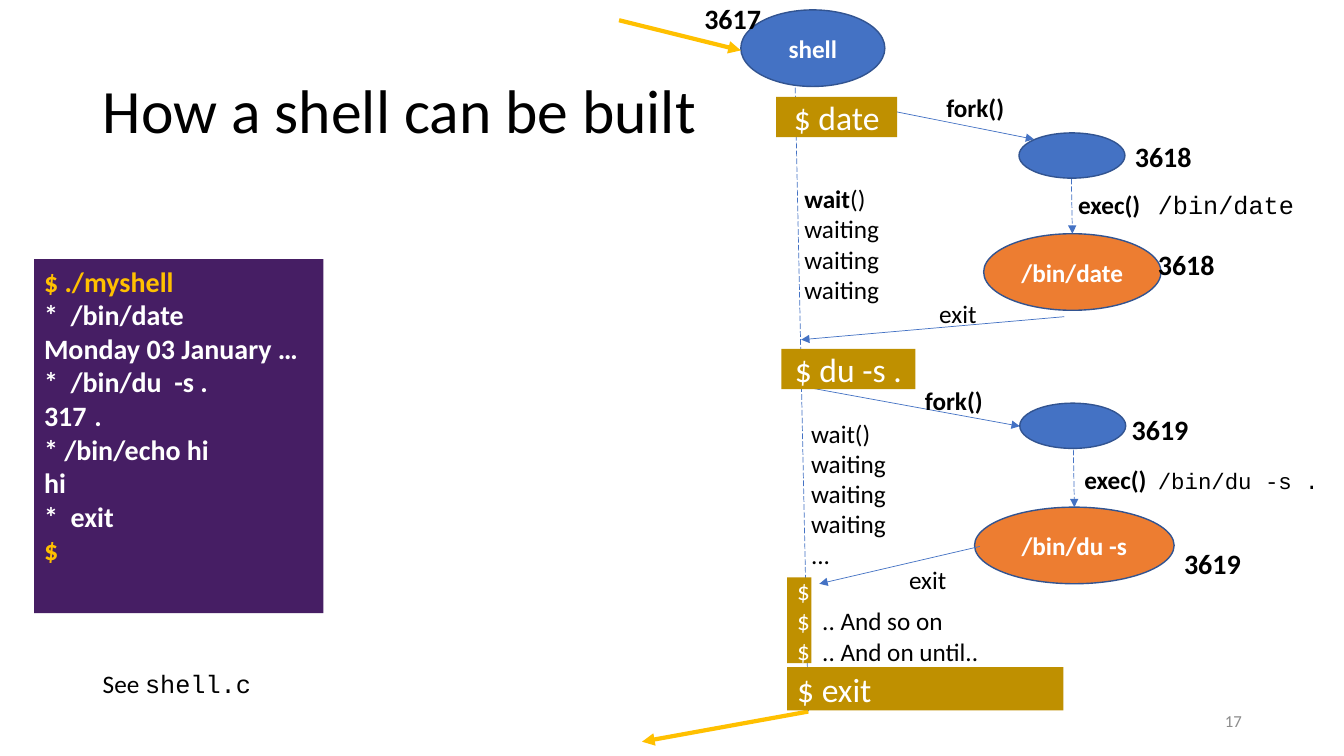
from lxml import etree
from pptx import Presentation
from pptx import util as u
from pptx.dml.color import RGBColor
from pptx.enum import dml, shapes, text
from pptx.oxml import ns

BLACK = RGBColor(0x00, 0x00, 0x00)
WHITE = RGBColor(0xFF, 0xFF, 0xFF)
GREY = RGBColor(0x8C, 0x8C, 0x8C)
BLUE = RGBColor(0x44, 0x72, 0xC4)
NAVY = RGBColor(0x32, 0x54, 0x91)
ORANGE = RGBColor(0xED, 0x7D, 0x31)
GOLD = RGBColor(0xFF, 0xC0, 0x00)
OCHRE = RGBColor(0xBF, 0x90, 0x00)
PURPLE = RGBColor(0x46, 0x1E, 0x64)

RECT = shapes.MSO_SHAPE.RECTANGLE
OVAL = shapes.MSO_SHAPE.OVAL
LEFT, MID, RIGHT = text.PP_ALIGN.LEFT, text.PP_ALIGN.CENTER, text.PP_ALIGN.RIGHT
BOLD = {"bold": True}
CODE = {"name": "Courier New", "bold": False}


def sub(node, tag, **attrs):
    return etree.SubElement(node, ns.qn(tag), attrs)


class Sketch:
    """Holds the text style and the slide; all lengths are in centimetres."""

    base = {"name": "Calibri", "size": 18, "bold": False, "color": BLACK}

    def __init__(self, slide):
        self.slide = slide

    def put(self, frame, paras, align=LEFT, **style):
        """Each paragraph is a string or a list of (string, format) runs."""
        for i, para in enumerate(paras):
            p = frame.paragraphs[0] if i == 0 else frame.add_paragraph()
            p.alignment = align
            for words, extra in [(para, {})] if isinstance(para, str) else para:
                look = {**self.base, **style, **extra}
                for j, line in enumerate(words.split("\n")):
                    if j:
                        p.add_line_break()
                    run = p.add_run()
                    run.text = line
                    run.font.color.rgb = look["color"]
                    run.font.size = u.Pt(look["size"])
                    for key in ("name", "bold"):
                        setattr(run.font, key, look[key])

    def title(self, box, words):
        shape = self.slide.shapes.title
        for key, val in zip(("left", "top", "width", "height"), box):
            setattr(shape, key, u.Cm(val))
        frame = shape.text_frame
        frame.vertical_anchor = text.MSO_ANCHOR.MIDDLE
        self.put(frame, [words], size=44)
        frame.paragraphs[0].line_spacing = 0.9

    def label(self, box, *paras, wrap=False, **style):
        frame = self.slide.shapes.add_textbox(*map(u.Cm, box)).text_frame
        frame.word_wrap = wrap
        self.put(frame, paras, **style)
        return frame

    def block(self, kind, box, fill, *paras, edge=None, top=False, align=MID, **style):
        shape = self.slide.shapes.add_shape(kind, *map(u.Cm, box))
        shape.shadow.inherit = False
        shape.fill.solid()
        shape.fill.fore_color.rgb = fill
        if edge is None:
            shape.line.fill.background()
        else:
            shape.line.color.rgb = edge
            shape.line.width = u.Pt(1)
        anchor = text.MSO_ANCHOR
        shape.text_frame.vertical_anchor = anchor.TOP if top else anchor.MIDDLE
        self.put(shape.text_frame, paras, align=align, **{"color": WHITE, **style})
        return shape

    def oval(self, box, fill, *paras):
        return self.block(OVAL, box, fill, *paras, edge=NAVY, bold=True)

    def arrow(self, start, end, color=BLUE, width=0.5, dash=False, into=None):
        line = self.slide.shapes.add_connector(
            shapes.MSO_CONNECTOR.STRAIGHT, *map(u.Cm, start + end))
        line.line.color.rgb = color
        line.line.width = u.Pt(width)
        if dash:
            line.line.dash_style = dml.MSO_LINE.LONG_DASH
        if into is not None:
            line.end_connect(into, 0)
        props = line._element.spPr
        sub(props.find(ns.qn("a:ln")), "a:tailEnd", type="triangle")
        sub(props, "a:effectLst")

    def call(self, box, code, stop, size):
        """The exec() call, with its program set at a tab stop."""
        frame = self.label(box, [("exec()\t", BOLD), (code, {**CODE, "size": size})])
        tabs = sub(frame.paragraphs[0]._p.get_or_add_pPr(), "a:tabLst")
        sub(tabs, "a:tab", pos=str(u.Cm(stop)), algn="l")

    def pid(self, left, top, words):
        self.label((left, top, 1.96, 1.12), words, size=20, bold=True)


def main():
    deck = Presentation()
    deck.slide_width, deck.slide_height = u.Cm(33.87), u.Cm(19.05)
    art = Sketch(deck.slides.add_slide(deck.slide_layouts[5]))
    art.title((2.34, 1.02, 29.21, 3.68), "How a shell can be built")

    # Terminal session
    gold = {"color": GOLD}
    term = art.block(
        RECT, (0.86, 6.53, 7.29, 8.92), PURPLE,
        [("$ ./myshell", gold)], "*  /bin/date\nMonday 03 January …",
        "*  /bin/du  -s .", ".", "* /bin/echo hi", "hi", "*  exit", [("$", gold)],
        top=True, align=LEFT, size=20, bold=True)
    count = term.text_frame.paragraphs[3]._p.get_or_add_pPr()
    count.set("marL", str(u.Cm(1.27)))
    count.set("indent", str(u.Cm(-1.27)))
    sub(count, "a:buFont", typeface="+mj-lt")
    sub(count, "a:buAutoNum", type="arabicPlain", startAt="317")
    art.label((2.34, 16.71, 4.27, 1.02), [("See ", {}), ("shell.c", CODE)])

    # Time line of the shell
    foot = (20.37, 17.93)
    art.arrow((20.04, 2.21), foot, dash=True)
    idle = ["waiting"] * 3
    art.label((20.02, 4.5, 3.48, 3.33), [("wait", BOLD), ("()", {})], *idle, wrap=True)
    art.label((20.19, 10.41, 3.48, 4.11), "wait()", *idle, "...", wrap=True)
    art.label((20.47, 15.14, 6.32, 1.8), ".. And so on", ".. And on until..")

    # Shell process
    art.oval((18.67, 0.25, 3.63, 1.93), BLUE, "shell")
    art.pid(17.5, -0.08, "3617")
    art.arrow((15.6, 0.51), (18.67, 1.27), GOLD, 3)
    art.arrow(foot, (16.18, 18.69), GOLD, 3)

    # Child processes: fork, exec, exit
    kids = [
        dict(pid="3618", child=(25.68, 3.35), tags=[(28.35, 3.4), (28.93, 6.12)],
             fork=((22.45, 2.79), (26.06, 3.51)), forked=(23.6, 2.21),
             run=(24.79, 5.89, 4.47, 1.93), name="/bin/date", start=(27, 4.5),
             call=((26.92, 4.65, 5.97, 1.02), "/bin/date", 2.01, 18),
             exit=((26.82, 7.98), (20.19, 8.56)), exited=(23.42, 7.39)),
        dict(pid="3619", child=(25.7, 10.16), tags=[(28.27, 10.26), (29.59, 13.64)],
             fork=((20.45, 9.78), (25.7, 10.74)), forked=(23.06, 9.58),
             run=(24.56, 12.78, 5.03, 1.93), name="/bin/du -s", start=(27.05, 11.33),
             call=((27.08, 11.58, 6.5, 1.02), "/bin/du -s .", 1.85, 16),
             exit=((24.69, 13.77), (20.65, 14.71)), exited=(22.66, 14.1)),
    ]
    for kid in kids:
        prog = art.oval(kid["run"], ORANGE, kid["name"])
        art.arrow(kid["start"], kid["run"][:2], dash=True, into=prog)
        art.call(*kid["call"])
        art.arrow(*kid["fork"])
        art.oval((*kid["child"], 2.67, 1.14), BLUE)
        art.label((*kid["forked"], 1.98, 1.02), "fork()", bold=True)
        for spot in kid["tags"]:
            art.pid(*spot, kid["pid"])
        art.arrow(*kid["exit"])
        art.label((*kid["exited"], 1.48, 1.02), "exit")

    # Commands typed at the prompt
    for box, words, align, size in [
        ((19.69, 8.79, 3.38, 1.02), "$ du -s .", MID, 24),
        ((19.56, 2.44, 3.05, 1.02), "$ date", MID, 24),
        ((19.84, 16.81, 6.96, 1.09), "$ exit", LEFT, 24),
        ((19.84, 14.55, 0.61, 2.16), "$$$", MID, 18),
    ]:
        art.block(RECT, box, OCHRE, words, align=align, size=size)

    # Page number
    page = art.label((23.93, 17.65, 7.62, 1.02), "17", wrap=True,
                     align=RIGHT, size=12, color=GREY)
    page.vertical_anchor = text.MSO_ANCHOR.MIDDLE

    deck.save("out.pptx")


if __name__ == "__main__":
    main()
